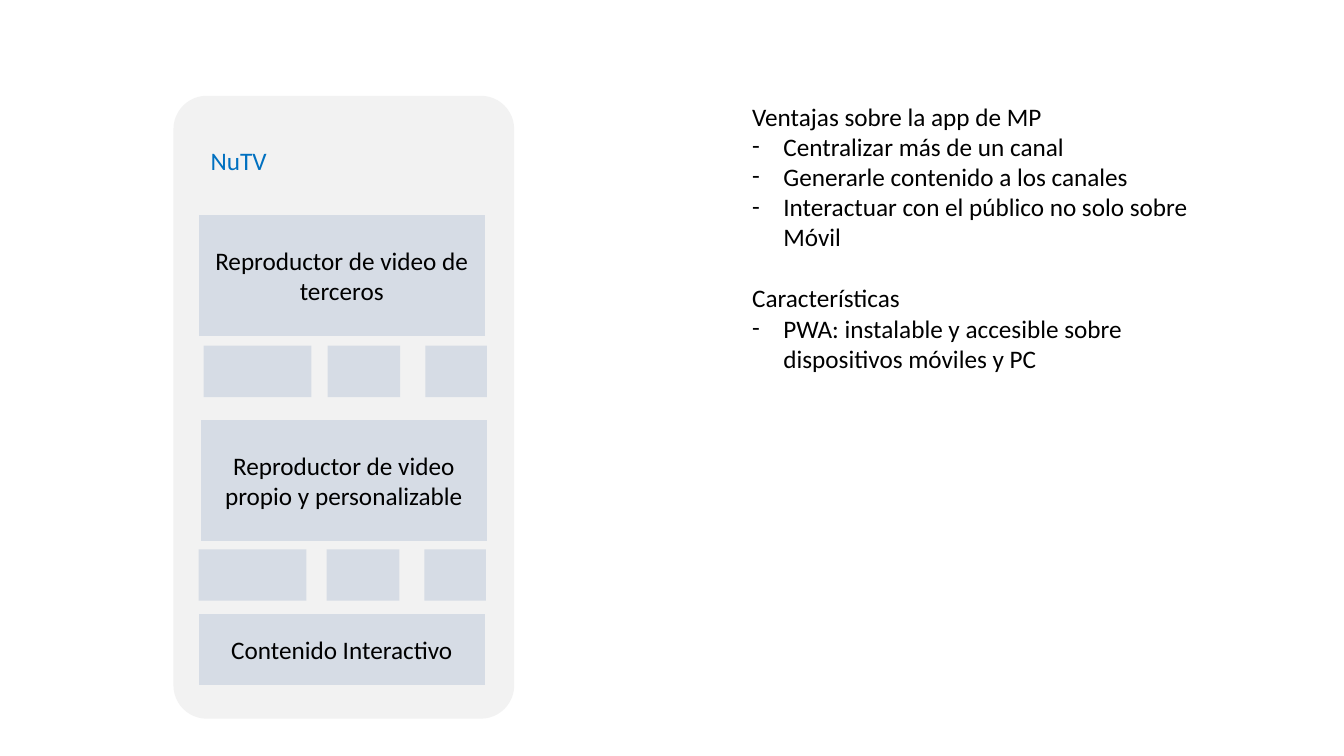
from lxml import etree
from pptx import Presentation
from pptx.dml.color import RGBColor
from pptx.enum.shapes import MSO_SHAPE
from pptx.enum.text import MSO_ANCHOR, MSO_AUTO_SIZE, PP_ALIGN
from pptx.oxml.ns import qn
from pptx.util import Pt

PX = 9144  # 100 px to the inch
BLACK = RGBColor(0x00, 0x00, 0x00)
BLUE = RGBColor(0x00, 0x70, 0xC0)
LIGHT_GRAY = RGBColor(0xF2, 0xF2, 0xF2)
BLUE_GRAY = RGBColor(0xD6, 0xDC, 0xE5)
ROUNDED = MSO_SHAPE.ROUNDED_RECTANGLE
RECTANGLE = MSO_SHAPE.RECTANGLE
PROCESS = MSO_SHAPE.FLOWCHART_PROCESS
LEFT, CENTER = PP_ALIGN.LEFT, PP_ALIGN.CENTER
TOP, MIDDLE = MSO_ANCHOR.TOP, MSO_ANCHOR.MIDDLE
NO_AUTOFIT = MSO_AUTO_SIZE.NONE

deck = Presentation()
deck.slide_width, deck.slide_height = 1333 * PX, 750 * PX
page = deck.slides.add_slide(deck.slide_layouts[1])


def add_block(kind, left, top, width, height, color):
    block = page.shapes.add_shape(kind, left * PX, top * PX, width * PX, height * PX)
    block.shadow.inherit = False
    block.fill.solid()
    block.fill.fore_color.rgb = color
    block.line.fill.background()
    return block


def format_text(box, color, align, anchor):
    frame = box.text_frame
    frame.word_wrap = True
    frame.auto_size = NO_AUTOFIT
    frame.vertical_anchor = anchor
    for para in frame.paragraphs:
        para.alignment = align
        for span in para.runs:
            span.font.name = "Calibri"
            span.font.size = Pt(18)
            span.font.color.rgb = color


# Phone outline
phone = add_block(ROUNDED, 172, 95, 338, 618, LIGHT_GRAY)
phone.adjustments[0] = 0.098

# Main panels of the app
for left, top, height, label in [
    (197, 213, 120, "Reproductor de video de terceros"),
    (199, 417, 120, "Reproductor de video propio y personalizable"),
    (197, 609, 71, "Contenido Interactivo"),
]:
    panel = add_block(PROCESS, left, top, 284, height, BLUE_GRAY)
    panel.text_frame.text = label
    format_text(panel, BLACK, CENTER, MIDDLE)

# Thumbnails under each player
for top, lefts in [(343, (202, 325, 422)), (545, (197, 324, 421))]:
    for left, width in zip(lefts, (107, 72, 61)):
        add_block(RECTANGLE, left, top, width, 51, BLUE_GRAY)

# App name, brought in front of the phone
title = page.shapes.title
title.left, title.top, title.width, title.height = 199 * PX, 139 * PX, 172 * PX, 40 * PX
title.text_frame.text = "NuTV"
format_text(title, BLUE, LEFT, TOP)
page.shapes._spTree.append(title._element)

# Advantages and features
notes = page.placeholders[1]
notes.left, notes.top, notes.width, notes.height = 736 * PX, 95 * PX, 477 * PX, 343 * PX
sections = [
    ("Ventajas sobre la app de MP", [
        "Centralizar más de un canal",
        "Generarle contenido a los canales",
        "Interactuar con el público no solo sobre Móvil",
    ]),
    ("Características", [
        "PWA: instalable y accesible sobre dispositivos móviles y PC",
    ]),
]
lines = []
for heading, items in sections:
    lines.append((heading, False))
    lines.extend((item, True) for item in items)
notes.text_frame.text = "\n".join(text for text, is_item in lines)
for number, (para, (text, is_item)) in enumerate(zip(notes.text_frame.paragraphs, lines)):
    indent = 31 * PX if is_item else 0
    properties = para._p.get_or_add_pPr()
    properties.set("marL", str(indent))
    properties.set("indent", str(-indent))
    if is_item:
        etree.SubElement(properties, qn("a:buFont")).set("typeface", "Calibri")
        etree.SubElement(properties, qn("a:buChar")).set("char", "-")
    else:
        etree.SubElement(properties, qn("a:buNone"))
    starts_section = number > 0 and not is_item
    para.space_before = Pt(22 if starts_section else 0)
format_text(notes, BLACK, LEFT, TOP)

deck.save("out.pptx")
